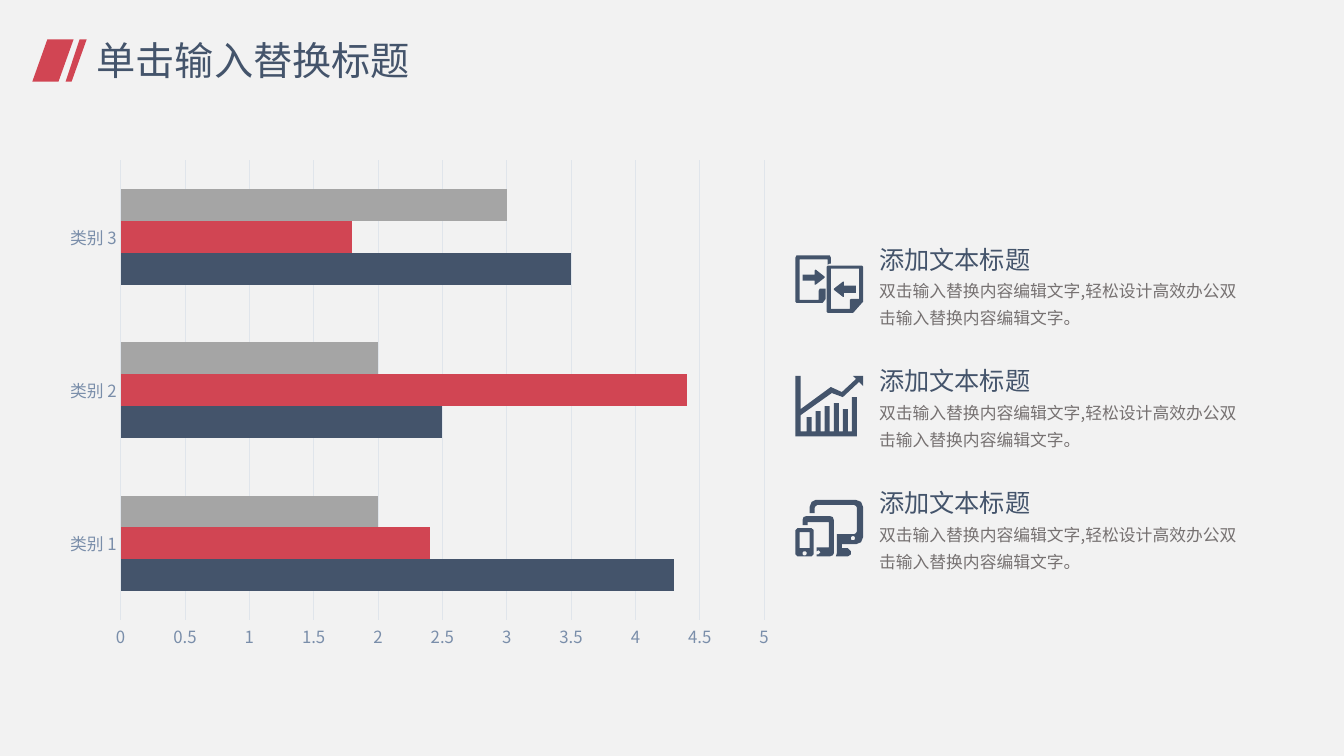
from pptx import Presentation, util as u
from pptx.chart import data as chart_data
from pptx.dml import color as dml
from pptx.enum import chart as chart_enum, text as text_enum
from pptx.oxml import xmlchemy, ns

FONT = "Noto Sans CJK SC"
PAPER, NAVY, RED, GREY = "F2F2F2", "44546B", "D14553", "A5A5A5"
BODY, AXIS, GRID = "767171", "7A8EAA", "E0E5EB"


def paint(target, hex_color):
    """Colour a fill, or a font's or line's colour."""
    if hasattr(target, "solid"):
        target.solid()
        target = target.fore_color
    target.rgb = dml.RGBColor.from_string(hex_color)


def style_font(font, size, hex_color):
    font.size, font.name = u.Pt(size), FONT
    paint(font.color, hex_color)
    east_asian = xmlchemy.OxmlElement("a:ea")
    east_asian.set("typeface", FONT)
    font._rPr.find(ns.qn("a:latin")).addnext(east_asian)


presentation = Presentation()
presentation.slide_width, presentation.slide_height = u.Inches(13.33), u.Inches(7.5)
slide = presentation.slides.add_slide(presentation.slide_layouts[6])
paint(slide.background.fill, PAPER)

# Row grid of the right-hand column, in inches
FIRST_ROW, ROW_STEP, ICON_LEFT, TEXT_LEFT = 2.37, 1.21, 7.89, 8.62
row_tops = [FIRST_ROW + ROW_STEP * row for row in range(3)]

# Outlines in hundredths of an inch, each a list of closed contours
wide_slash = [[(15, 0), (41, 0), (26, 42), (0, 42)]]
thin_slash = [[(14, 0), (21, 0), (6, 42), (0, 42)]]

documents_icon = [
    [(47, 26), (48, 26), (48, 30), (60, 30), (60, 37), (48, 37), (48, 41), (47, 41),
     (38, 34), (38, 33)],
    [(20, 14), (29, 21), (29, 22), (20, 29), (19, 29), (19, 25), (7, 25), (7, 19),
     (19, 19), (19, 15)],
    [(35, 13), (35, 53), (54, 53), (54, 44), (55, 43), (63, 43), (63, 13)],
    [(32, 10), (66, 10), (67, 11), (67, 46), (66, 47), (58, 56), (57, 57), (32, 57),
     (31, 56), (31, 11)],
    [(1, 0), (34, 0), (35, 2), (35, 8), (34, 8), (32, 9), (32, 4), (4, 4), (4, 44),
     (23, 44), (23, 35), (24, 33), (30, 33), (30, 43), (27, 47), (1, 47), (0, 46), (0, 2)],
]

growth_outline = [(61, 60), (0, 60), (0, 0), (5, 0), (5, 33), (35, 11), (46, 16), (60, 3),
                  (57, 0), (67, 0), (67, 10), (63, 6), (47, 21), (36, 17), (5, 39), (5, 55)]
for bar, bar_top in enumerate([41, 35, 30, 27, 33]):
    left = 11 + 9 * bar
    growth_outline += [(left, 55), (left, bar_top), (left + 5, bar_top), (left + 5, 55)]
growth_icon = [growth_outline + [(56, 55), (56, 21), (61, 21)]]

devices_icon = [
    [(4, 32), (14, 32), (14, 48), (4, 48)],
    [(2, 28), (16, 28), (18, 30), (18, 54), (16, 56), (2, 56), (0, 54), (0, 30)],
    [(11, 16), (34, 16), (37, 17), (38, 20), (38, 53), (37, 55), (34, 56), (21, 56),
     (21, 54), (23, 54), (25, 52), (23, 50), (21, 51), (21, 47), (33, 47), (33, 22),
     (12, 22), (12, 25), (7, 25), (7, 20), (8, 17)],
    [(20, 0), (60, 0), (65, 2), (67, 7), (67, 37), (65, 42), (60, 44), (46, 44), (46, 48),
     (52, 48), (55, 51), (55, 54), (52, 56), (40, 56), (41, 53), (41, 34), (58, 34),
     (60, 33), (61, 31), (61, 8), (60, 6), (58, 5), (22, 5), (20, 6), (19, 8), (19, 13),
     (14, 13), (14, 7), (16, 2)],
]
button_corners = [(2, 1), (1, 2), (-1, 2), (-2, 1), (-2, -1), (-1, -2), (1, -2), (2, -1)]
for x, y in [(9, 53), (57, 38)]:
    devices_icon.append([(x + dx, y + dy) for dx, dy in button_corners])

# Title marks and icons; each icon is centred in its row
drawings = [(0.32, 0.39, RED, wide_slash), (0.65, 0.39, RED, thin_slash)]
for row_top, icon in zip(row_tops, [documents_icon, growth_icon, devices_icon]):
    icon_height = max(y for contour in icon for _, y in contour) / 100
    drawings.append((ICON_LEFT, row_top + 0.45 - icon_height / 2, NAVY, icon))

for left, top, hex_color, contours in drawings:
    builder = slide.shapes.build_freeform(*contours[0][0], scale=u.Inches(0.01))
    builder.add_line_segments(contours[0][1:], close=True)
    for contour in contours[1:]:
        builder.move_to(*contour[0])
        builder.add_line_segments(contour[1:], close=True)
    shape = builder.convert_to_shape(u.Inches(left), u.Inches(top))
    shape.shadow.inherit = False
    shape.line.fill.background()
    paint(shape.fill, hex_color)

# Title and the three text rows: container, box, text, size, colour, line spacing
texts = [(slide, (0.86, 0.31, 4.91, 0.57), "单击输入替换标题", 28, NAVY, 1)]
for row_top in row_tops:
    group = slide.shapes.add_group_shape()
    texts += [
        (group, (TEXT_LEFT, row_top, 2.48, 0.4), "添加文本标题", 18, NAVY, 1),
        (group, (TEXT_LEFT, row_top + 0.31, 3.79, 0.63),
         "双击输入替换内容编辑文字,轻松设计高效办公双击输入替换内容编辑文字。", 12, BODY, 1.3),
    ]
for container, box, words, size, hex_color, spacing in texts:
    text_frame = container.shapes.add_textbox(*map(u.Inches, box)).text_frame
    text_frame.word_wrap = True
    text_frame.text = words
    paragraph = text_frame.paragraphs[0]
    paragraph.line_spacing = spacing
    style_font(paragraph.runs[0].font, size, hex_color)
    if container is slide:
        text_frame.vertical_anchor = text_enum.MSO_ANCHOR.MIDDLE

# Bar chart
bar_data = chart_data.CategoryChartData()
bar_data.categories = ["类别 1", "类别 2", "类别 3"]
series_rows = [((4.3, 2.5, 3.5), NAVY), ((2.4, 4.4, 1.8), RED), ((2, 2, 3), GREY)]
for number, (values, _) in enumerate(series_rows, 1):
    bar_data.add_series(f"Series {number}", values)
chart = slide.shapes.add_chart(
    chart_enum.XL_CHART_TYPE.BAR_CLUSTERED,
    *map(u.Inches, (0.55, 1.49, 7.22, 5.05)), bar_data).chart
chart.has_legend = chart.has_title = False
style_font(chart.font, 10, NAVY)
plot = chart.plots[0]
plot.gap_width, plot.overlap, plot.vary_by_categories = 182, 0, False
for series, (_, hex_color) in zip(plot.series, series_rows):
    paint(series.format.fill, hex_color)

# Axes and gridlines
category_axis, value_axis = chart.category_axis, chart.value_axis
for axis in (category_axis, value_axis):
    axis.major_tick_mark = axis.minor_tick_mark = chart_enum.XL_TICK_MARK.NONE
    style_font(axis.tick_labels.font, 12, AXIS)
value_axis.minimum_scale, value_axis.maximum_scale, value_axis.major_unit = 0, 5, 0.5
value_axis.tick_labels.number_format = "General"
value_axis.tick_labels.number_format_is_linked = False
value_axis.format.line.fill.background()
for line in (category_axis.format.line, value_axis.major_gridlines.format.line):
    line.width = u.Pt(0.75)
    paint(line.fill, GRID)

presentation.save("out.pptx")
